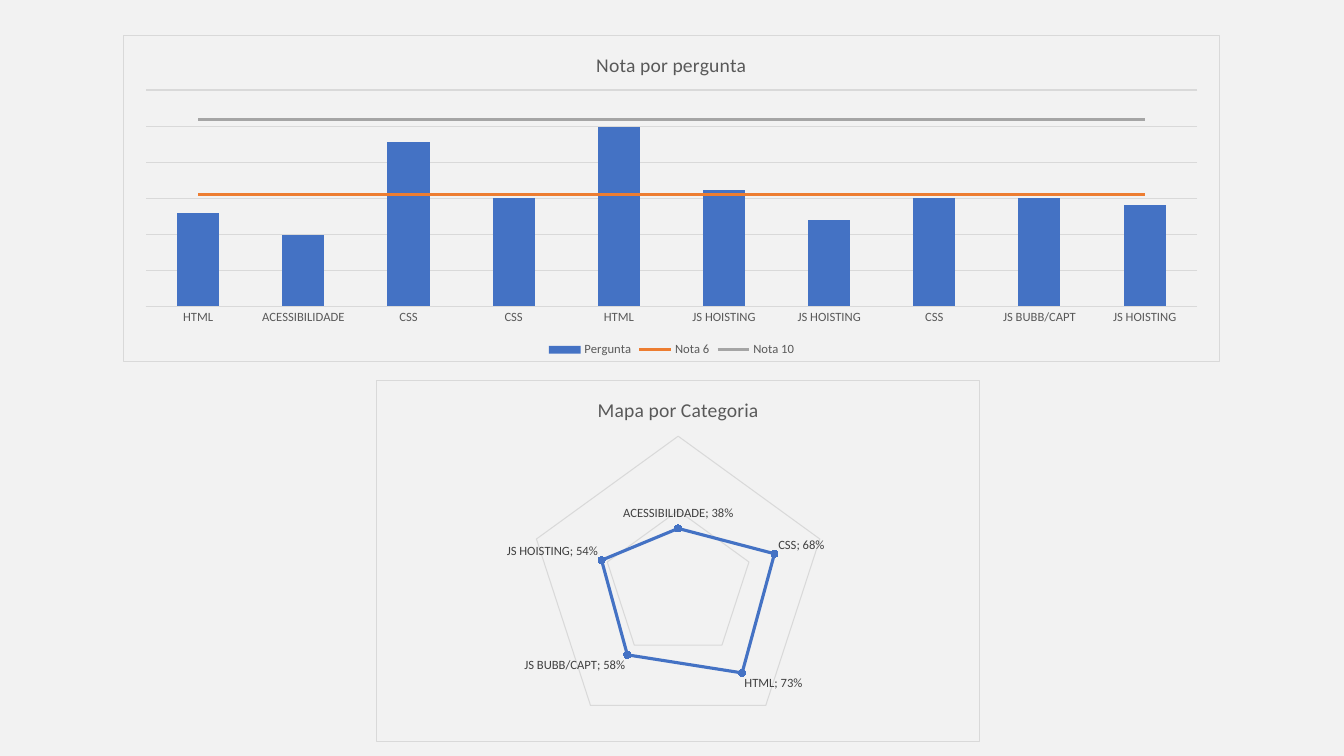
from lxml import etree
from pptx import Presentation
from pptx.chart.data import CategoryChartData
from pptx.dml.color import RGBColor
from pptx.enum.chart import XL_CHART_TYPE, XL_LEGEND_POSITION, XL_MARKER_STYLE, XL_TICK_MARK
from pptx.oxml import parse_xml
from pptx.oxml.ns import nsdecls, qn
from pptx.util import Pt

BACKGROUND = RGBColor(0xF2, 0xF2, 0xF2)
RULE = RGBColor(0xD9, 0xD9, 0xD9)
TEXT = RGBColor(0x59, 0x59, 0x59)
LABEL = RGBColor(0x40, 0x40, 0x40)
BLUE = RGBColor(0x44, 0x72, 0xC4)
ORANGE = RGBColor(0xED, 0x7D, 0x31)
GRAY = RGBColor(0xA5, 0xA5, 0xA5)

QUESTIONS = ["HTML", "ACESSIBILIDADE", "CSS", "CSS", "HTML", "JS HOISTING",
             "JS HOISTING", "CSS", "JS BUBB/CAPT", "JS HOISTING"]
SCORES = [50, 38, 88, 58, 96, 62, 46, 58, 58, 54]
CATEGORY_SCORES = {"ACESSIBILIDADE": 0.38, "CSS": 0.68, "HTML": 0.73,
                   "JS BUBB/CAPT": 0.58, "JS HOISTING": 0.54}


def apply(target, formats):
    for name, value in formats.items():
        setattr(target, name, value)


def style_font(font, size, color):
    apply(font, {"name": "Calibri", "size": Pt(size), "bold": False})
    font.color.rgb = color


def style_line(line, color, width):
    line.color.rgb = color
    line.width = Pt(width)


def add_framed_chart(page, kind, data, area, title):
    """Add a chart with a thin frame and a title."""
    chart = page.shapes.add_chart(kind, *map(Pt, area), data).chart
    style_font(chart.font, 10, TEXT)
    chart.has_title = True
    chart.chart_title.include_in_layout = False
    frame = chart.chart_title.text_frame
    frame.text = title
    style_font(frame.paragraphs[0].runs[0].font, 14, TEXT)
    border = parse_xml(
        f'<c:spPr {nsdecls("c", "a")}><a:noFill/><a:ln w="{Pt(0.75)}">'
        f'<a:solidFill><a:srgbClr val="{RULE}"/></a:solidFill></a:ln></c:spPr>')
    chart.element.find(qn("c:chart")).addnext(border)
    return chart


def style_value_axis(axis, maximum, step):
    """Hide the scale but keep its gridlines."""
    apply(axis, {"visible": False, "has_major_gridlines": True,
                 "minimum_scale": 0, "maximum_scale": maximum, "major_unit": step})
    style_line(axis.major_gridlines.format.line, RULE, 0.75)


def move_to_line_plot(chart, first):
    """Draw the series from index first on as lines on the same axes."""
    bars = chart.element.find(".//" + qn("c:barChart"))
    lines = parse_xml(f'<c:lineChart {nsdecls("c")}><c:grouping val="standard"/>'
                      '<c:varyColors val="0"/></c:lineChart>')
    for series in bars.findall(qn("c:ser"))[first:]:
        for bar_setting in series.findall(qn("c:invertIfNegative")):
            series.remove(bar_setting)
        lines.append(series)
    etree.SubElement(lines, qn("c:marker")).set("val", "1")
    for axis in bars.findall(qn("c:axId")):
        etree.SubElement(lines, qn("c:axId")).set("val", axis.get("val"))
    bars.addnext(lines)


def add_question_chart(page):
    data = CategoryChartData()
    data.categories = QUESTIONS
    data.add_series("Pergunta", SCORES)
    for name, level in (("Nota 6", 60), ("Nota 10", 100)):
        data.add_series(name, [level] * len(QUESTIONS))
    chart = add_framed_chart(page, XL_CHART_TYPE.COLUMN_CLUSTERED, data,
                             (88, 25.3, 783.2, 233), "Nota por pergunta")
    move_to_line_plot(chart, 1)

    # Columns and reference lines
    columns, references = chart.plots
    apply(columns, {"gap_width": 150, "vary_by_categories": False})
    fill = columns.series[0].format.fill
    fill.solid()
    fill.fore_color.rgb = BLUE
    for series, color in zip(references.series, (ORANGE, GRAY)):
        style_line(series.format.line, color, 2.25)
        series.marker.style = XL_MARKER_STYLE.NONE
        series.smooth = False

    # Axes and legend
    style_value_axis(chart.value_axis, 115.8, 19.3)
    axis = chart.category_axis
    apply(axis, {"major_tick_mark": XL_TICK_MARK.NONE, "minor_tick_mark": XL_TICK_MARK.NONE})
    style_line(axis.format.line, RULE, 0.75)
    style_font(axis.tick_labels.font, 9, TEXT)
    chart.has_legend = True
    apply(chart.legend, {"position": XL_LEGEND_POSITION.BOTTOM, "include_in_layout": False})
    style_font(chart.legend.font, 9, TEXT)


def add_category_map(page):
    data = CategoryChartData(number_format="0%")
    data.categories = list(CATEGORY_SCORES)
    data.add_series("Series 1", list(CATEGORY_SCORES.values()))
    chart = add_framed_chart(page, XL_CHART_TYPE.RADAR_MARKERS, data,
                             (268.8, 271.5, 431.2, 258.3), "Mapa por Categoria")
    chart.has_legend = False
    chart.category_axis.visible = False
    style_value_axis(chart.value_axis, 1, 0.5)
    chart.plots[0].vary_by_categories = False

    # Outline and markers
    series = chart.plots[0].series[0]
    series.smooth = False
    style_line(series.format.line, BLUE, 2.25)
    marker = series.marker
    apply(marker, {"style": XL_MARKER_STYLE.CIRCLE, "size": 5})
    marker.format.fill.solid()
    marker.format.fill.fore_color.rgb = BLUE
    style_line(marker.format.line, BLUE, 0.75)

    # Point labels
    labels = series.data_labels
    apply(labels, {"show_value": True, "show_category_name": True,
                   "number_format": "0%", "number_format_is_linked": False})
    style_font(labels.font, 9, LABEL)
    separator = parse_xml(f'<c:separator {nsdecls("c")}>; </c:separator>')
    label_settings = chart.element.find(".//" + qn("c:dLbls"))
    label_settings.find(qn("c:showPercent")).addnext(separator)
    bubble_size = label_settings.find(qn("c:showBubbleSize"))
    if bubble_size is not None:
        bubble_size.addnext(separator)


def main():
    deck = Presentation()
    apply(deck, {"slide_width": Pt(960), "slide_height": Pt(540)})
    page = deck.slides.add_slide(deck.slide_layouts[6])
    page.background.fill.solid()
    page.background.fill.fore_color.rgb = BACKGROUND
    add_category_map(page)
    add_question_chart(page)
    deck.save("out.pptx")


if __name__ == "__main__":
    main()
